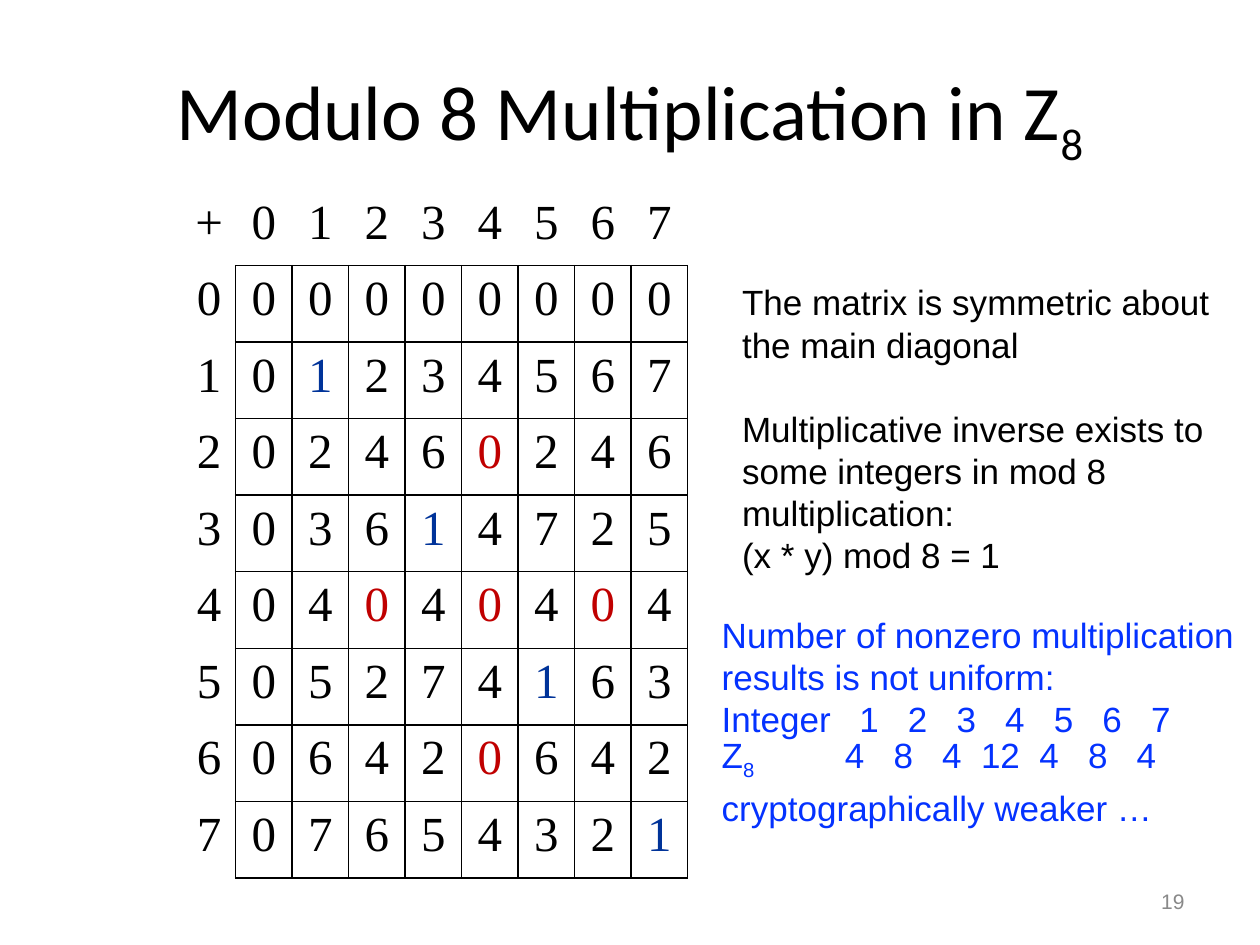
from dataclasses import dataclass

from lxml.etree import SubElement
from pptx import Presentation
from pptx.dml.color import RGBColor
from pptx.enum.text import MSO_ANCHOR, PP_ALIGN
from pptx.oxml.ns import qn
from pptx.util import Cm, Pt


@dataclass(frozen=True)
class Theme:
    """Colours, fonts and type sizes of the slide."""
    black: str = "000000"
    inverse: str = "003399"
    zero: str = "C00000"
    note: str = "0432FF"
    grey: str = "898989"
    title_font: str = "Calibri"
    table_font: str = "Times New Roman"
    body_font: str = "Arial"
    title_size: int = 44
    table_size: int = 28
    body_size: int = 20
    number_size: int = 12
    line_height: int = 24


THEME = Theme()
MODULUS = 8


def write(p, text, size=THEME.body_size, font=THEME.body_font,
          color=THEME.black, baseline=0):
    """Add a formatted run to a paragraph."""
    r = p.add_run()
    r.text = text
    r.font.size = Pt(size)
    r.font.name = font
    r.font.color.rgb = RGBColor.from_string(color)
    if baseline:
        r.font._element.set("baseline", str(baseline * 1000))


def add_title(s):
    """Place and fill the title placeholder."""
    sp = s.shapes.title
    sp.left, sp.top, sp.width, sp.height = Cm(1.27), Cm(0.76), Cm(22.86), Cm(3.18)
    tf = sp.text_frame
    tf.vertical_anchor = MSO_ANCHOR.MIDDLE
    p = tf.paragraphs[0]
    p.alignment = PP_ALIGN.CENTER
    style = dict(size=THEME.title_size, font=THEME.title_font)
    write(p, "Modulo 8 Multiplication in Z", **style)
    write(p, "8", baseline=-25, **style)


def add_textbox(s, left, top, width, height):
    """Add a wrapping text box and return its text frame."""
    tf = s.shapes.add_textbox(Cm(left), Cm(top), Cm(width), Cm(height)).text_frame
    tf.word_wrap = True
    return tf


def add_lines(tf, lines, color=THEME.black):
    """Fill a text frame with (runs, space before) lines and return the paragraphs."""
    for i, (runs, before) in enumerate(lines):
        p = tf.add_paragraph() if i else tf.paragraphs[0]
        p.line_spacing = Pt(THEME.line_height)
        p.space_before = Pt(before)
        for text, baseline in runs:
            write(p, text, color=color, baseline=baseline)
    return tf.paragraphs


def set_tabs(p, first, step, count):
    """Give a paragraph evenly spaced centred tab stops."""
    tabs = SubElement(p._p.get_or_add_pPr(), qn("a:tabLst"))
    for i in range(count):
        SubElement(tabs, qn("a:tab"), pos=str(Cm(first + i * step)), algn="ctr")


def set_borders(cell, sides):
    """Draw the named cell sides in black and hide the others."""
    tcPr = cell._tc.get_or_add_tcPr()
    for side in "LRTB":
        ln = SubElement(tcPr, qn(f"a:ln{side}"), w=str(Pt(1)))
        if side in sides:
            fill = SubElement(ln, qn("a:solidFill"))
            SubElement(fill, qn("a:srgbClr"), val=THEME.black)
        else:
            SubElement(ln, qn("a:noFill"))


def cell_content(row, col):
    """Return text, colour and bordered sides of a table cell."""
    if row == 0:
        return (str(col - 1), THEME.black, "B") if col else ("+", THEME.black, "")
    if col == 0:
        return str(row - 1), THEME.black, "R"
    x, y = row - 1, col - 1
    product = x * y % MODULUS
    color = THEME.black
    if product == 1:
        color = THEME.inverse
    elif product == 0 and x and y:
        color = THEME.zero
    return str(product), color, "LRTB"


def add_multiplication_table(s):
    """Add the multiplication table with its header row and column."""
    n = MODULUS + 1
    table = s.shapes.add_table(n, n, Cm(3.68), Cm(3.81), Cm(10.19), Cm(13.89)).table
    table.first_row = table.horz_banding = False
    for i, column in enumerate(table.columns):
        column.width = Cm(1.14 if i else 1.07)
    for r in range(n):
        for c in range(n):
            text, color, sides = cell_content(r, c)
            cell = table.cell(r, c)
            cell.margin_left = cell.margin_right = 0
            set_borders(cell, sides)
            cell.fill.background()
            p = cell.text_frame.paragraphs[0]
            p.alignment = PP_ALIGN.CENTER
            write(p, text, THEME.table_size, THEME.table_font, color)


def add_symmetry_note(s):
    """Add the remarks on symmetry and inverses."""
    tf = add_textbox(s, 14.71, 5.54, 10.11, 6.25)
    add_lines(tf, [
        ([("The matrix is symmetric about the main diagonal", 0)], 0),
        ([("Multiplicative inverse exists to some integers in mod 8 "
           "multiplication:", 0)], THEME.line_height),
        ([("(x * y) mod 8 = 1", 0)], 0),
    ])


def add_count_note(s):
    """Add the remark on the counts of nonzero results."""
    integers = range(1, MODULUS)
    counts = [4, 8, 4, 12, 4, 8, 4]
    tf = add_textbox(s, 14.3, 12.24, 11.1, 4.52)
    paragraphs = add_lines(tf, [
        ([("Number of nonzero multiplication results is not uniform:", 0)], 0),
        ([("\t".join(["Integer", *map(str, integers)]), 0)], 0),
        ([("Z", 0), ("8", -25), ("\t" + "\t".join(map(str, counts)), 0)], 0),
        ([("cryptographically weaker …", 0)], 3),
    ], THEME.note)
    set_tabs(paragraphs[1], 2.97, 0.98, len(integers))
    set_tabs(paragraphs[2], 2.68, 0.98, len(counts))


def add_slide_number(s):
    """Add the page number at the lower right."""
    tf = add_textbox(s, 18.21, 17.65, 5.92, 1.02)
    tf.vertical_anchor = MSO_ANCHOR.MIDDLE
    p = tf.paragraphs[0]
    p.alignment = PP_ALIGN.RIGHT
    write(p, "19", size=THEME.number_size, color=THEME.grey)


def main():
    """Build and save the slide."""
    prs = Presentation()
    prs.slide_width, prs.slide_height = Cm(25.4), Cm(19.05)
    s = prs.slides.add_slide(prs.slide_layouts[5])
    add_title(s)
    add_multiplication_table(s)
    add_slide_number(s)
    add_symmetry_note(s)
    add_count_note(s)
    prs.save("out.pptx")


if __name__ == "__main__":
    main()
